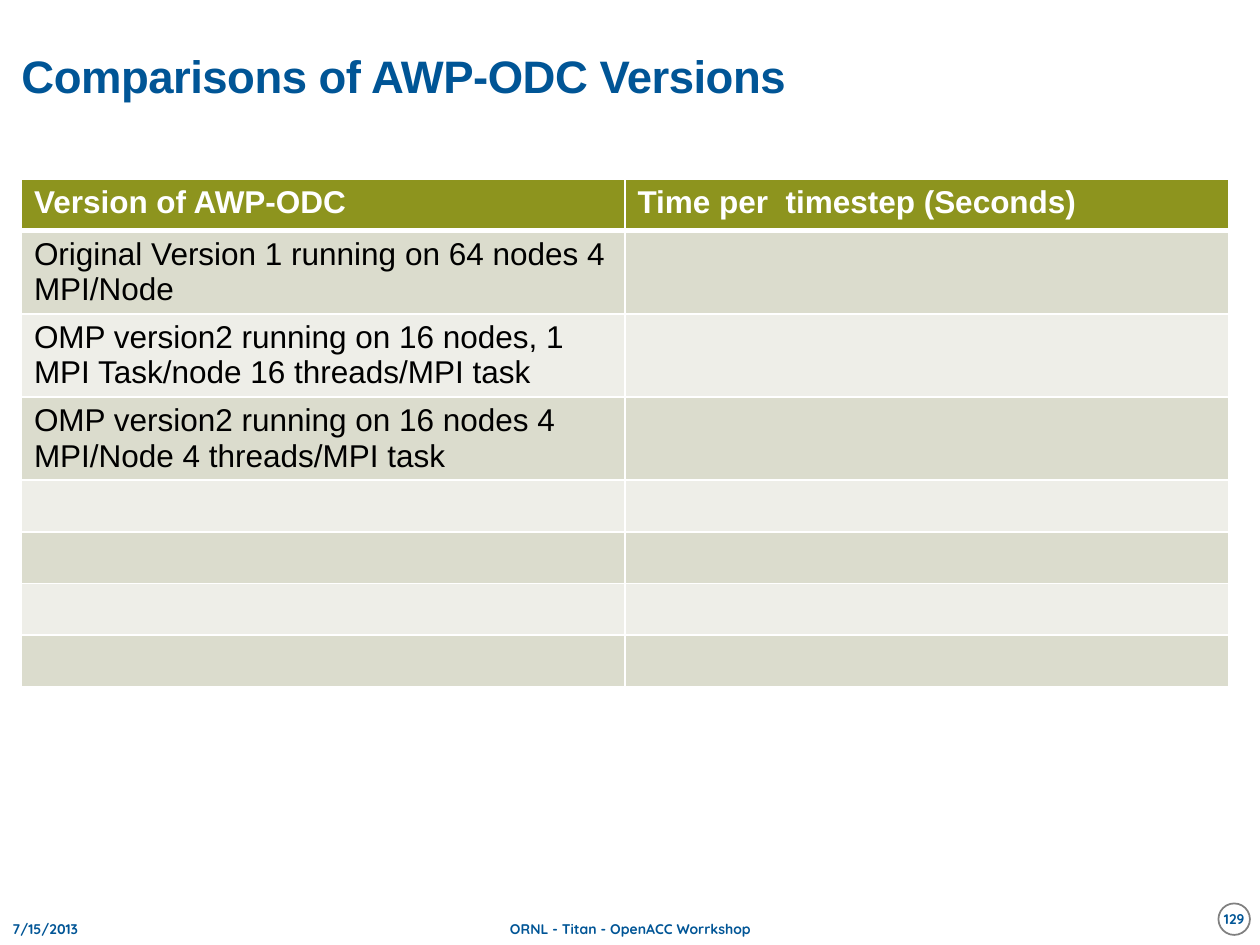
from lxml import etree
from pptx import Presentation
from pptx.dml.color import RGBColor
from pptx.enum.shapes import MSO_SHAPE
from pptx.enum.text import MSO_ANCHOR, PP_ALIGN
from pptx.oxml.ns import qn
from pptx.util import Inches, Pt

LEFT, CENTER = PP_ALIGN.LEFT, PP_ALIGN.CENTER
MIDDLE = MSO_ANCHOR.MIDDLE
ELLIPSE = MSO_SHAPE.OVAL

BLUE, WHITE, BLACK, GRAY = "005596", "FFFFFF", "000000", "808080"
HEADER_FILL = "8D941E"
BAND_FILLS = ("DBDCCD", "EEEEE8")

HEADINGS = ("Version of AWP-ODC", "Time per  timestep (Seconds)")
VERSIONS = (
    "Original Version 1 running on 64 nodes 4 MPI/Node",
    "OMP version2 running on 16 nodes, 1 MPI Task/node 16 threads/MPI task",
    "OMP version2 running on 16 nodes 4 MPI/Node 4 threads/MPI task",
)
EMPTY_ROWS = 4


def color(value):
    return RGBColor.from_string(value)


def style_font(font, name, size, fill, bold):
    font.name, font.size, font.bold = name, Pt(size), bold
    font.color.rgb = color(fill)


def clear_margins(frame):
    frame.margin_left = frame.margin_top = 0
    frame.margin_right = frame.margin_bottom = 0


def add_title(page, text):
    title = page.shapes.title
    title.left, title.top = Inches(0.17), Inches(0.17)
    title.width, title.height = Inches(8), Inches(0.92)
    frame = title.text_frame
    clear_margins(frame)
    frame.vertical_anchor = MIDDLE
    para = frame.paragraphs[0]
    para.alignment, para.line_spacing = LEFT, 0.85
    span = para.add_run()
    span.text = text
    style_font(span.font, "Arial", 26, BLUE, True)
    # Slightly tightened letter spacing, in hundredths of a point
    span.font._element.set("spc", "-30")


def write_footer(shape, text, alignment):
    frame = shape.text_frame
    frame.word_wrap = True
    frame.vertical_anchor = MIDDLE
    para = frame.paragraphs[0]
    para.text, para.alignment = text, alignment
    style_font(para.font, "Quicksand", 8, BLUE, True)


def add_footer(page, text, left, width, alignment):
    box = page.shapes.add_textbox(Inches(left), Inches(7.25), Inches(width), Inches(0.25))
    write_footer(box, text, alignment)


def add_page_number(page, number):
    badge = page.shapes.add_shape(
        ELLIPSE, Inches(9.67), Inches(7.17), Inches(0.25), Inches(0.25))
    badge.shadow.inherit = False
    badge.fill.solid()
    badge.fill.fore_color.rgb = color(WHITE)
    badge.line.color.rgb = color(GRAY)
    badge.line.width = Pt(1)
    write_footer(badge, number, CENTER)
    clear_margins(badge.text_frame)
    badge.text_frame.word_wrap = False


def add_borders(cell, top, bottom):
    properties = cell._tc.get_or_add_tcPr()
    for side, width in (("L", 1), ("R", 1), ("T", top), ("B", bottom)):
        line = etree.SubElement(properties, qn(f"a:ln{side}"), w=str(Pt(width)))
        fill = etree.SubElement(line, qn("a:solidFill"))
        etree.SubElement(fill, qn("a:srgbClr"), val=WHITE)


def add_version_table(page):
    rows = [HEADINGS] + [(version, "") for version in VERSIONS] + [("", "")] * EMPTY_ROWS
    row_height = Inches(0.41)
    table = page.shapes.add_table(
        len(rows), len(HEADINGS), Inches(0.17), Inches(1.42),
        Inches(9.58), row_height * len(rows)).table
    for row_index, texts in enumerate(rows):
        table.rows[row_index].height = row_height
        header = row_index == 0
        fill = HEADER_FILL if header else BAND_FILLS[(row_index - 1) % 2]
        for column_index, text in enumerate(texts):
            cell = table.cell(row_index, column_index)
            # A thick rule separates the header from the body
            add_borders(cell, 3 if row_index == 1 else 1, 3 if header else 1)
            cell.fill.solid()
            cell.fill.fore_color.rgb = color(fill)
            para = cell.text_frame.paragraphs[0]
            para.text = text
            style_font(para.font, "Arial", 18, WHITE if header else BLACK, header)


def main():
    deck = Presentation()
    deck.slide_width, deck.slide_height = Inches(10), Inches(7.5)
    page = deck.slides.add_slide(deck.slide_layouts[5])

    # Title and table
    add_title(page, "Comparisons of AWP-ODC Versions")
    add_version_table(page)

    # Footer line
    add_footer(page, "7/15/2013", 0, 2.33, LEFT)
    add_footer(page, "ORNL - Titan - OpenACC Worrkshop", 3.42, 3.17, CENTER)
    add_page_number(page, "129")

    deck.save("out.pptx")


if __name__ == "__main__":
    main()
